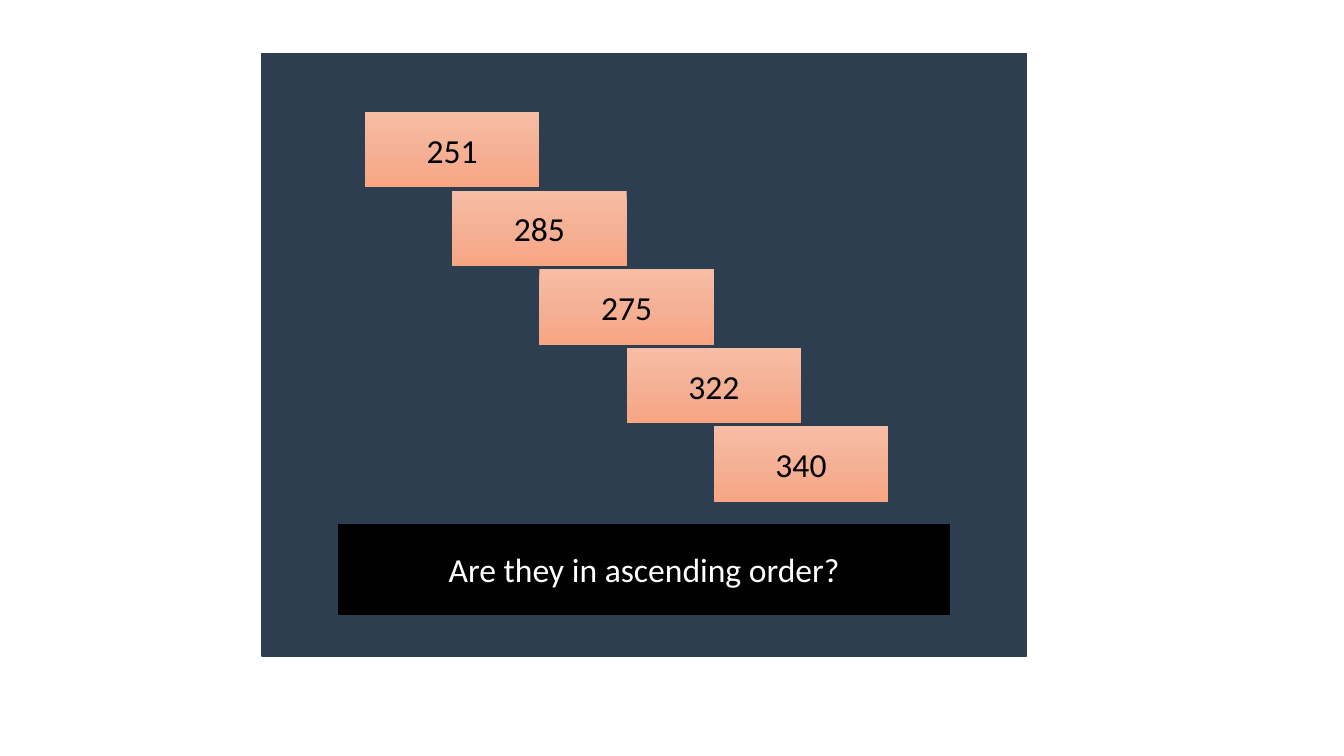
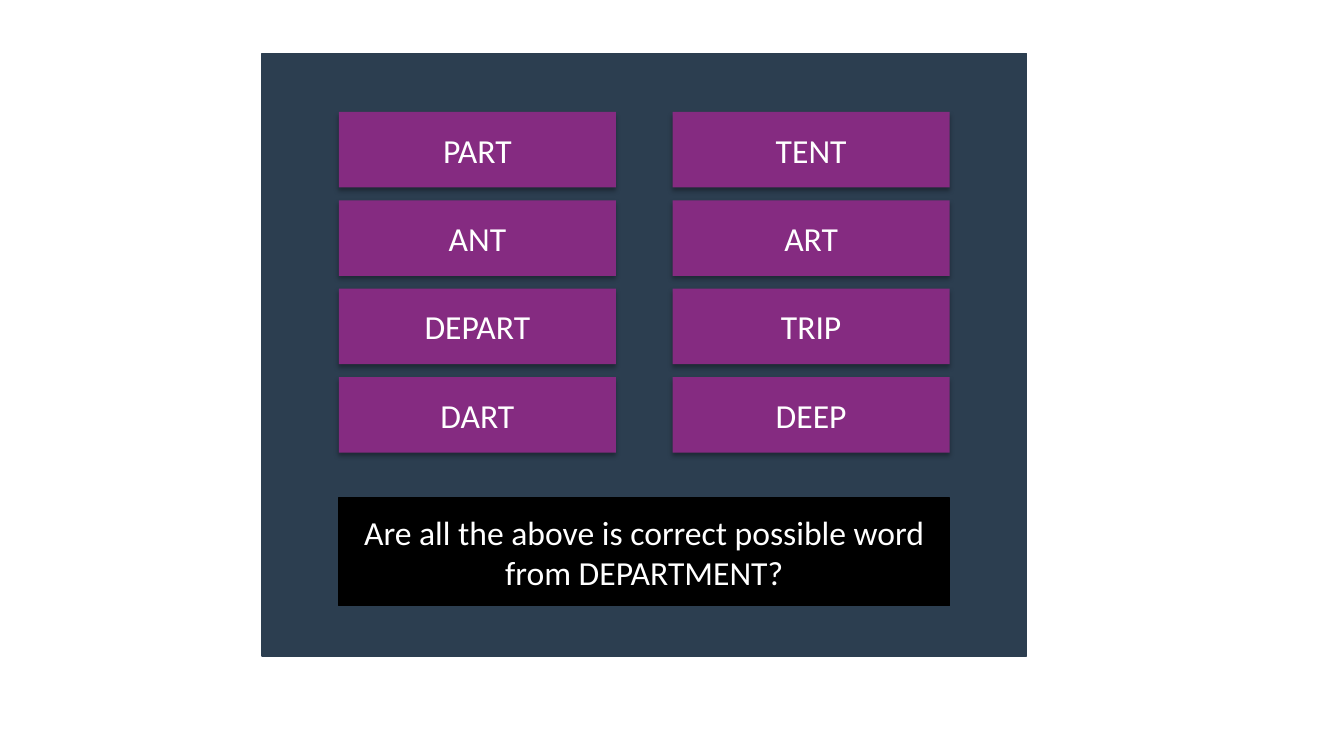
from copy import deepcopy
from dataclasses import dataclass

from lxml import etree
from pptx import Presentation
from pptx.dml.color import RGBColor
from pptx.enum.shapes import MSO_SHAPE
from pptx.enum.text import MSO_ANCHOR, PP_ALIGN
from pptx.oxml.ns import qn
from pptx.util import Inches, Pt

# Shared style
NAVY = RGBColor(0x2C, 0x3E, 0x50)
BLACK = RGBColor(0x00, 0x00, 0x00)
WHITE = RGBColor(0xFF, 0xFF, 0xFF)
PURPLE = RGBColor(0x85, 0x2B, 0x81)
PEACH = (RGBColor(0xF7, 0xBD, 0xA5), RGBColor(0xF5, 0xB1, 0x96),
         RGBColor(0xF8, 0xA5, 0x82))
FONT, TEXT_SIZE = "Calibri", Pt(24)
TILE_HEIGHT = 0.75


@dataclass
class Box:
    left: float
    top: float
    width: float
    height: float

    def inset(self, x, top, height):
        """Centred box with side margins x, at a given depth."""
        return Box(self.left + x, self.top + top, self.width - 2 * x, height)


PANEL = Box(2.6, 0.53, 7.58, 5.98)
SIDE, HEAD = 0.76, 0.58


def add_block(slide, box, text="", color=WHITE):
    """Plain rectangle with centred text, without fill colour or outline."""
    block = slide.shapes.add_shape(
        MSO_SHAPE.RECTANGLE, Inches(box.left), Inches(box.top),
        Inches(box.width), Inches(box.height))
    block.shadow.inherit = False
    block.line.fill.background()
    if text:
        frame = block.text_frame
        frame.word_wrap = True
        frame.vertical_anchor = MSO_ANCHOR.MIDDLE
        paragraph = frame.paragraphs[0]
        paragraph.alignment = PP_ALIGN.CENTER
        run = paragraph.add_run()
        run.text = text
        run.font.name, run.font.size = FONT, TEXT_SIZE
        run.font.color.rgb = color
    return block


def paint(block, color, outlined=False):
    block.fill.solid()
    block.fill.fore_color.rgb = color
    if outlined:
        block.line.color.rgb = color
        block.line.width = Pt(1)


def paint_gradient(block, colors):
    """Three-stop gradient from top to bottom."""
    block.fill.gradient()
    block.fill.gradient_angle = 270
    stops = block.element.spPr.find(qn("a:gradFill")).find(qn("a:gsLst"))
    stops.insert(1, deepcopy(stops[0]))
    for stop, color, position in zip(block.fill.gradient_stops, colors, (0, 0.5, 1)):
        stop.color.rgb = color
        stop.position = position


def add_shadow(block):
    effects = block.element.spPr.find(qn("a:effectLst"))
    shadow = etree.SubElement(
        effects, qn("a:outerShdw"), blurRad=str(Pt(3.5)), dist=str(Pt(2.2)),
        dir="5400000", algn="ctr", rotWithShape="0")
    black = etree.SubElement(shadow, qn("a:srgbClr"), val=str(BLACK))
    etree.SubElement(black, qn("a:alpha"), val="32000")


def question_slide(prs, question, depth, height):
    """Slide with the navy panel and the question bar."""
    slide = prs.slides.add_slide(prs.slide_layouts[6])
    paint(add_block(slide, PANEL), NAVY, outlined=True)
    bar = add_block(slide, PANEL.inset(SIDE, depth, height), question)
    paint(bar, BLACK, outlined=True)
    return slide


def number_staircase(slide, box, numbers):
    """Each tile starts half a tile to the right of the one above."""
    half = box.width / (len(numbers) + 1)
    rise = (box.height - TILE_HEIGHT) / (len(numbers) - 1)
    for i, number in enumerate(numbers):
        tile = Box(box.left + i * half, box.top + i * rise, 2 * half, TILE_HEIGHT)
        paint_gradient(add_block(slide, tile, number, BLACK), PEACH)


def word_grid(slide, box, rows, gutter=0.56):
    columns = len(rows[0])
    width = (box.width - gutter * (columns - 1)) / columns
    pitch = (box.height - TILE_HEIGHT) / (len(rows) - 1)
    for r, row in enumerate(rows):
        for c, word in enumerate(row):
            tile = Box(box.left + c * (width + gutter), box.top + r * pitch,
                       width, TILE_HEIGHT)
            block = add_block(slide, tile, word)
            paint(block, PURPLE)
            add_shadow(block)


prs = Presentation()
prs.slide_width, prs.slide_height = Inches(13.33), Inches(7.5)

# Slide 1: number order
order = question_slide(prs, "Are they in ascending order?", 4.68, 0.88)
number_staircase(order, Box(PANEL.left + 1.02, PANEL.top + HEAD, 5.19, 3.87),
                 ["251", "285", "275", "322", "340"])

# Slide 2: words within a word
words = question_slide(
    prs, "Are all the above is correct possible word from DEPARTMENT?", 4.41, 1.07)
word_grid(words, PANEL.inset(SIDE, HEAD, 3.38),
          [("PART", "TENT"), ("ANT", "ART"), ("DEPART", "TRIP"), ("DART", "DEEP")])

prs.save("out.pptx")
